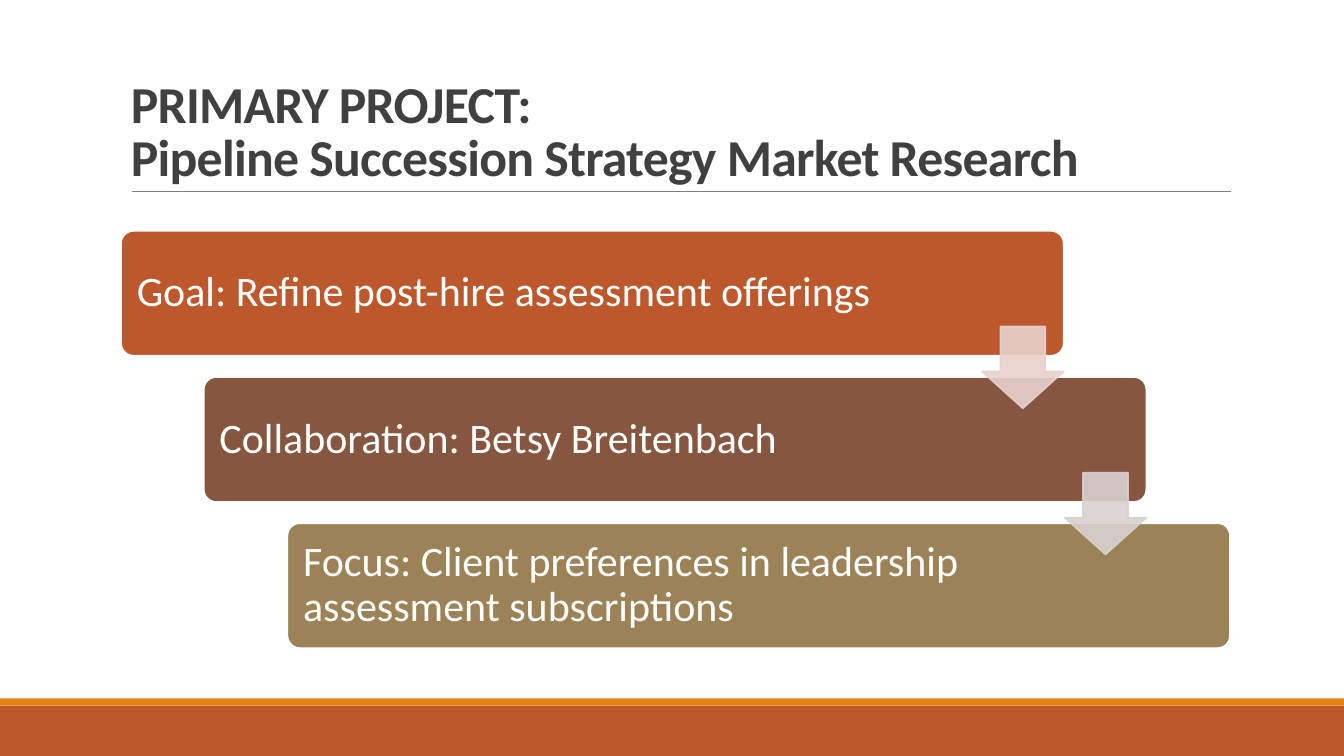
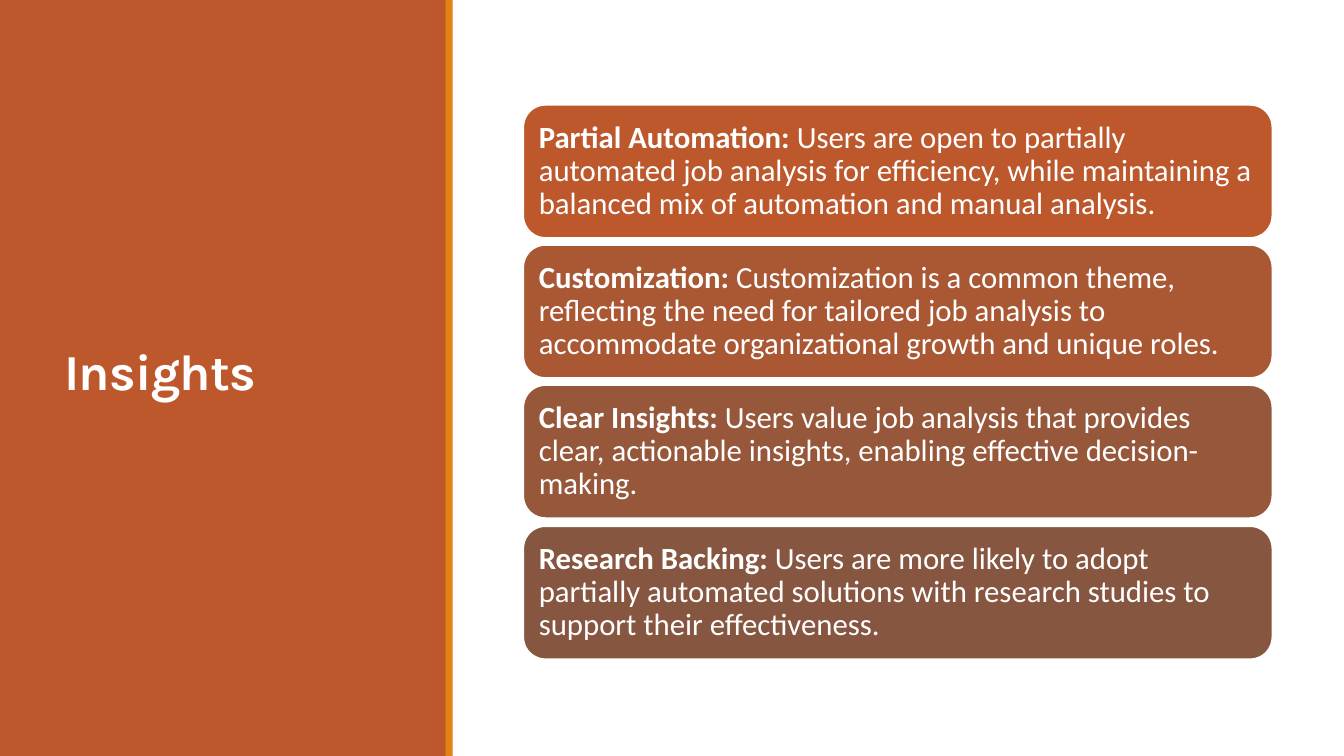
from lxml import etree
from pptx import Presentation
from pptx.dml.color import RGBColor
from pptx.enum.shapes import MSO_CONNECTOR, MSO_SHAPE
from pptx.enum.text import MSO_ANCHOR, PP_ALIGN
from pptx.oxml.ns import qn
from pptx.util import Pt

PX = 9144  # 100 px to the inch
WIDE, HIGH = 1333, 750

RECT = MSO_SHAPE.RECTANGLE
ROUND = MSO_SHAPE.ROUNDED_RECTANGLE
DOWN = MSO_SHAPE.DOWN_ARROW
LINE = MSO_CONNECTOR.STRAIGHT
LEFT = PP_ALIGN.LEFT
MIDDLE, BOTTOM = MSO_ANCHOR.MIDDLE, MSO_ANCHOR.BOTTOM

WHITE = RGBColor(0xFF, 0xFF, 0xFF)
INK = RGBColor(0x40, 0x40, 0x40)
GREY = RGBColor(0x80, 0x80, 0x80)
RUST = RGBColor(0xBD, 0x58, 0x2C)
AMBER = RGBColor(0xE4, 0x83, 0x12)
BROWN = RGBColor(0x86, 0x56, 0x40)
OLIVE = RGBColor(0x9B, 0x83, 0x57)
CLAY = RGBColor(0xAA, 0x58, 0x34)
UMBER = RGBColor(0x97, 0x57, 0x3A)
BLUSH = RGBColor(0xE8, 0xD1, 0xCD)
ASH = RGBColor(0xD9, 0xD1, 0xCF)

BODY, HEAD = "Calibri", "Karla"

STEPS = [
    ("Goal: Refine post-hire assessment offerings", RUST),
    ("Collaboration: Betsy Breitenbach", BROWN),
    ("Focus: Client preferences in leadership assessment subscriptions", OLIVE),
]
CARDS = [
    ("Partial Automation:", " Users are open to partially automated job analysis for "
     "efficiency, while maintaining a balanced mix of automation and manual analysis.", RUST),
    ("Customization:", " Customization is a common theme, reflecting the need for tailored "
     "job analysis to accommodate organizational growth and unique roles.", CLAY),
    ("Clear Insights:", " Users value job analysis that provides clear, actionable "
     "insights, enabling effective decision-making.", UMBER),
    ("Research Backing:", " Users are more likely to adopt partially automated solutions "
     "with research studies to support their effectiveness.", BROWN),
]


def emu(*sizes):
    return [size * PX for size in sizes]


def fade(fmt, alpha):
    """Set the opacity, in percent, of a solid fill."""
    color = fmt._xPr.find(qn("a:solidFill"))[0]
    etree.SubElement(color, qn("a:alpha"), val=str(alpha * 1000))


def write(shape, runs, size, color=WHITE, font=BODY, anchor=MIDDLE,
          space=0.9, track=0, insets=(10, 5, 10, 5)):
    """Fill one paragraph with (text, bold) runs; a newline breaks the line."""
    frame = shape.text_frame
    frame.word_wrap = True
    frame.vertical_anchor = anchor
    (frame.margin_left, frame.margin_top,
     frame.margin_right, frame.margin_bottom) = emu(*insets)
    para = frame.paragraphs[0]
    para.alignment = LEFT
    para.line_spacing = space
    for text, bold in runs:
        for i, part in enumerate(text.split("\n")):
            if i:
                para.add_line_break()
            run = para.add_run()
            run.text = part
            run.font.name = font
            run.font.size = Pt(size)
            run.font.bold = bold
            run.font.color.rgb = color
            if track:
                run.font._element.set("spc", str(track))


def block(slide, kind, box, fill, edge=None, adjust=(), alpha=None):
    shape = slide.shapes.add_shape(kind, *emu(*box))
    shape.shadow.inherit = False
    shape.fill.solid()
    shape.fill.fore_color.rgb = fill
    for i, value in enumerate(adjust):
        shape.adjustments[i] = value
    if edge is None:
        shape.line.fill.background()
    else:
        shape.line.color.rgb = edge
        shape.line.width = Pt(1.25)
    if alpha:
        fade(shape.fill, alpha)
        fade(shape.line.fill, alpha)
    return shape


def rule(slide, x, y, end):
    line = slide.shapes.add_connector(LINE, *emu(x, y, end, y))
    line.line.color.rgb = GREY
    line.line.width = Pt(0.5)
    etree.SubElement(line._element.spPr, qn("a:effectLst"))


def title(slide, text, box, size, **style):
    shape = slide.shapes.add_textbox(*emu(*box))
    write(shape, [(text, True)], size, space=0.85, track=-50, **style)


def project(slide):
    # Footer bands and title
    block(slide, RECT, (0, 700, WIDE, 50), RUST)
    block(slide, RECT, (0, 693, WIDE, 7), AMBER)
    rule(slide, 131, 190, 1221)
    title(slide, "PRIMARY PROJECT:\nPipeline Succession Strategy Market Research",
          (120, 31, 1100, 159), 37, color=INK, anchor=BOTTOM)

    # Staircase of steps
    spots = [(120 + i * 165 // 2, 229 + i * 145) for i in range(len(STEPS))]
    for (x, y), (text, fill) in zip(spots, STEPS):
        step = block(slide, ROUND, (x, y, 935, 124), fill, WHITE, [0.1])
        write(step, [(text, False)], 30, insets=(12, 12, 175, 12))

    # Arrows from each step to the next
    for (x, y), tint in zip(spots, (BLUSH, ASH)):
        block(slide, DOWN, (x + 854, y + 95, 81, 81), tint, tint, [0.55, 0.45], 90)


def insights(slide):
    # Side panel and title
    block(slide, RECT, (0, 0, 443, HIGH), RUST)
    block(slide, RECT, (442, 0, 7, HIGH), AMBER)
    title(slide, "Insights", (54, 57, 337, 631), 36, font=HEAD)

    # Stack of cards
    for i, (lead, text, fill) in enumerate(CARDS):
        card = block(slide, ROUND, (519, 104 + i * 418 // 3, 743, 132), fill, WHITE)
        write(card, [(lead, True), (text, False)], 22, insets=(9, 9, 9, 9))


def main():
    deck = Presentation()
    deck.slide_width, deck.slide_height = emu(WIDE, HIGH)
    for build in (project, insights):
        build(deck.slides.add_slide(deck.slide_layouts[6]))
    deck.save("out.pptx")


if __name__ == "__main__":
    main()
